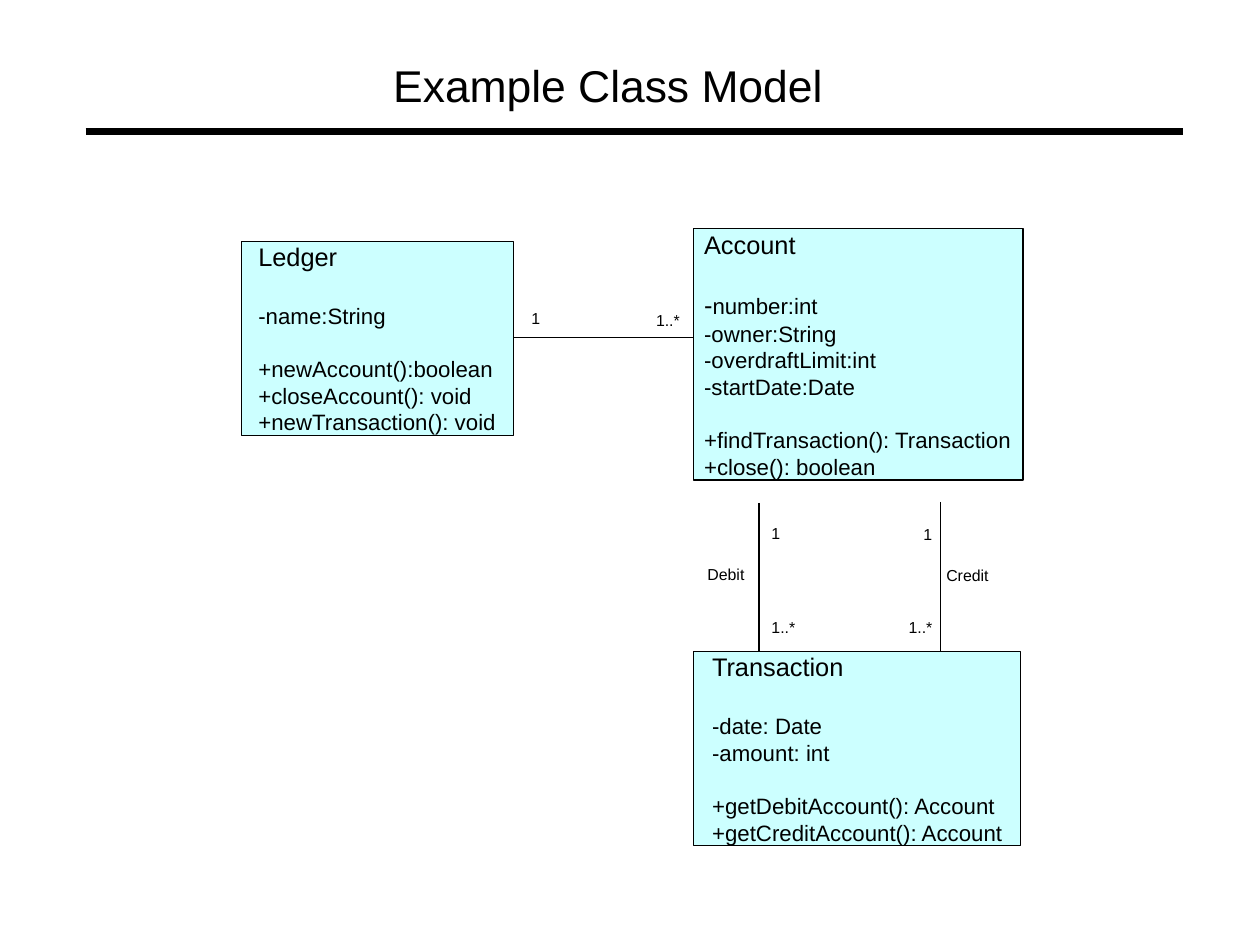
from dataclasses import dataclass

from lxml import etree
from pptx import Presentation
from pptx.dml.color import RGBColor
from pptx.enum.shapes import MSO_CONNECTOR, MSO_SHAPE
from pptx.enum.text import MSO_ANCHOR, MSO_AUTO_SIZE, PP_ALIGN
from pptx.oxml.ns import qn
from pptx.util import Inches, Pt

STRAIGHT = MSO_CONNECTOR.STRAIGHT
RECTANGLE = MSO_SHAPE.RECTANGLE
TOP, MIDDLE = MSO_ANCHOR.TOP, MSO_ANCHOR.MIDDLE
NO_AUTOSIZE = MSO_AUTO_SIZE.NONE
LEFT = PP_ALIGN.LEFT
TITLE_ONLY = 5
CM_PER_INCH = 2.54


@dataclass(frozen=True)
class Theme:
    font: str = "Arial"
    ink: RGBColor = RGBColor(0, 0, 0)
    class_fill: RGBColor = RGBColor(0xCC, 0xFF, 0xFF)
    title_size: float = 28
    name_size: float = 16
    member_size: float = 14
    label_size: float = 10
    thin_line: float = 0.75
    title_rule: float = 4.31
    name_gap: float = 19
    group_gap: float = 16.8


THEME = Theme()

# Box, text indent, name, attributes, operations;
# a member is a list of (text, size) runs when its sizes are mixed
CLASSES = [
    ((2.11, 2.11, 2.38, 1.7), 0.15, "Ledger",
     ["-name:String"],
     ["+newAccount():boolean", "+closeAccount(): void", "+newTransaction(): void"]),
    ((6.07, 2, 2.88, 2.2), 0.09, "Account",
     [[("-", THEME.name_size), ("number:int", THEME.member_size)],
      "-owner:String", "-overdraftLimit:int", "-startDate:Date"],
     ["+findTransaction(): Transaction", "+close(): boolean"]),
    ((6.07, 5.7, 2.86, 1.7), 0.16, "Transaction",
     ["-date: Date", "-amount: int"],
     ["+getDebitAccount(): Account", "+getCreditAccount(): Account"]),
]

# Start, end, labels as (text, horizontal offset, vertical offset) from the start
ASSOCIATIONS = [
    ((4.38, 2.95), (6.56, 2.95), [("1", 0.27, -0.25), ("1..*", 1.36, -0.23)]),
    ((6.64, 4.4), (6.64, 5.89),
     [("Debit", -0.45, 0.54), ("1", 0.11, 0.18), ("1..*", 0.11, 1)]),
    ((8.23, 4.39), (8.23, 5.86),
     [("Credit", 0.05, 0.56), ("1", -0.15, 0.2), ("1..*", -0.28, 1.01)]),
]


def format_frame(frame, **overrides):
    values = {"margin_left": 0, "margin_top": 0, "margin_right": 0, "margin_bottom": 0,
              "auto_size": NO_AUTOSIZE, "vertical_anchor": TOP, "word_wrap": True}
    for name, value in {**values, **overrides}.items():
        setattr(frame, name, value)


def add_run(paragraph, text, size):
    paragraph.alignment = LEFT
    run = paragraph.add_run()
    run.text = text
    for name, value in {"name": THEME.font, "size": Pt(size)}.items():
        setattr(run.font, name, value)
    run.font.color.rgb = THEME.ink


def add_line(slide, start, end, width):
    line = slide.shapes.add_connector(
        STRAIGHT, *(Inches(value) for value in (*start, *end)))
    line.line.color.rgb = THEME.ink
    line.line.width = Pt(width)
    etree.SubElement(line._element.spPr, qn("a:effectLst"))


def add_title(slide, box, text):
    left, top, width, height = box
    title = slide.shapes.title
    places = {"left": left + 2.69, "top": top, "width": 4.09, "height": 0.47}
    for name, value in places.items():
        setattr(title, name, Inches(value))
    format_frame(title.text_frame)
    add_run(title.text_frame.paragraphs[0], text, THEME.title_size)
    rule_top = top + height
    add_line(slide, (left, rule_top), (left + width, rule_top), THEME.title_rule)


def add_class(slide, box, indent, name, attributes, operations):
    shape = slide.shapes.add_shape(RECTANGLE, *(Inches(value) for value in box))
    shape.shadow.inherit = False
    shape.fill.solid()
    shape.fill.fore_color.rgb = THEME.class_fill
    shape.line.color.rgb = THEME.ink
    shape.line.width = Pt(THEME.thin_line)
    frame = shape.text_frame
    format_frame(frame, margin_left=Inches(indent), vertical_anchor=MIDDLE)
    add_run(frame.paragraphs[0], name, THEME.name_size)
    for members, gap in ((attributes, THEME.name_gap), (operations, THEME.group_gap)):
        for index, member in enumerate(members):
            paragraph = frame.add_paragraph()
            paragraph.space_before = Pt(0 if index else gap)
            runs = [(member, THEME.member_size)] if isinstance(member, str) else member
            for text, size in runs:
                add_run(paragraph, text, size)


def add_label(slide, left, top, text):
    label = slide.shapes.add_textbox(
        Inches(left), Inches(top), Inches(0.1 * len(text)), Inches(0.17))
    format_frame(label.text_frame)
    add_run(label.text_frame.paragraphs[0], text, THEME.label_size)


def add_association(slide, start, end, labels):
    add_line(slide, start, end, THEME.thin_line)
    for text, across, down in labels:
        add_label(slide, start[0] + across, start[1] + down, text)


def main():
    # The page measures 28 by 21 centimetres
    presentation = Presentation()
    presentation.slide_width = Inches(28 / CM_PER_INCH)
    presentation.slide_height = Inches(21 / CM_PER_INCH)
    slide = presentation.slides.add_slide(presentation.slide_layouts[TITLE_ONLY])

    # Title and rule
    add_title(slide, (0.75, 0.51, 9.6, 0.64), "Example Class Model")
    # Associations lie behind the classes
    for association in ASSOCIATIONS:
        add_association(slide, *association)
    # Classes
    for class_model in CLASSES:
        add_class(slide, *class_model)

    presentation.save("out.pptx")


if __name__ == "__main__":
    main()
